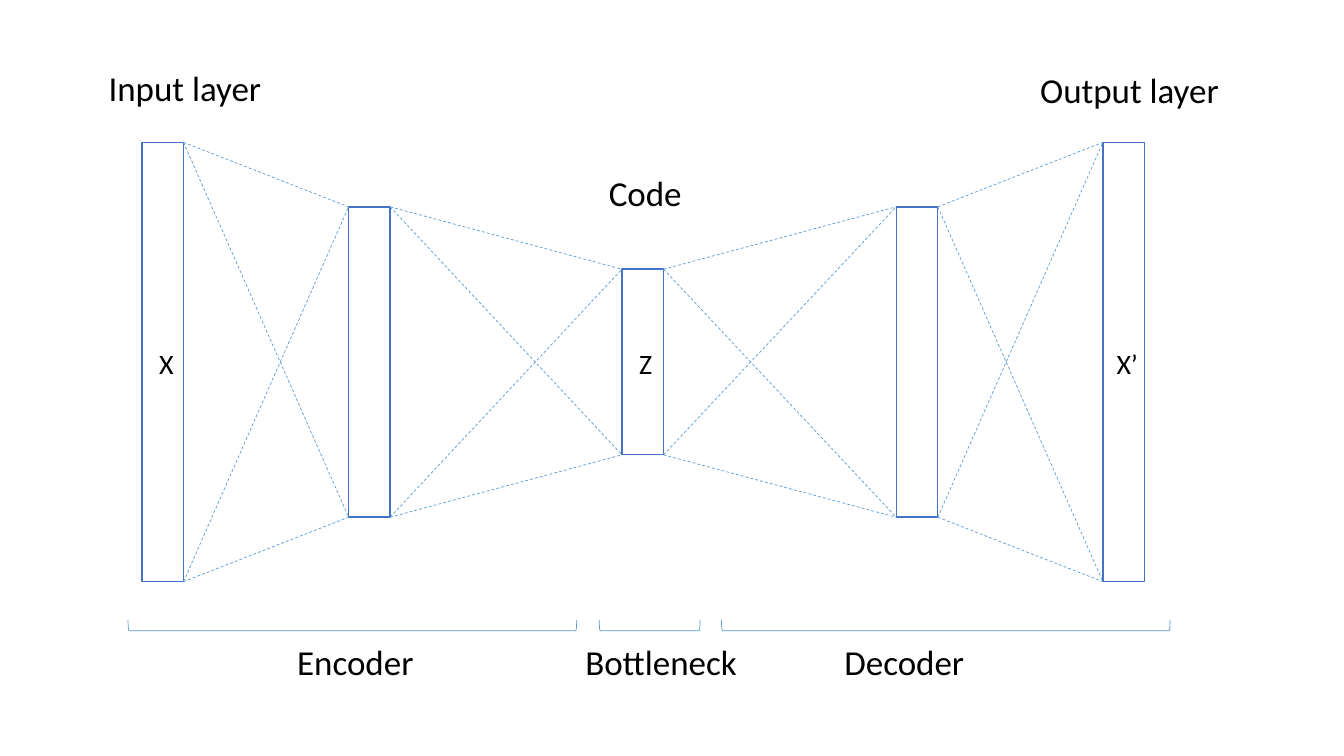
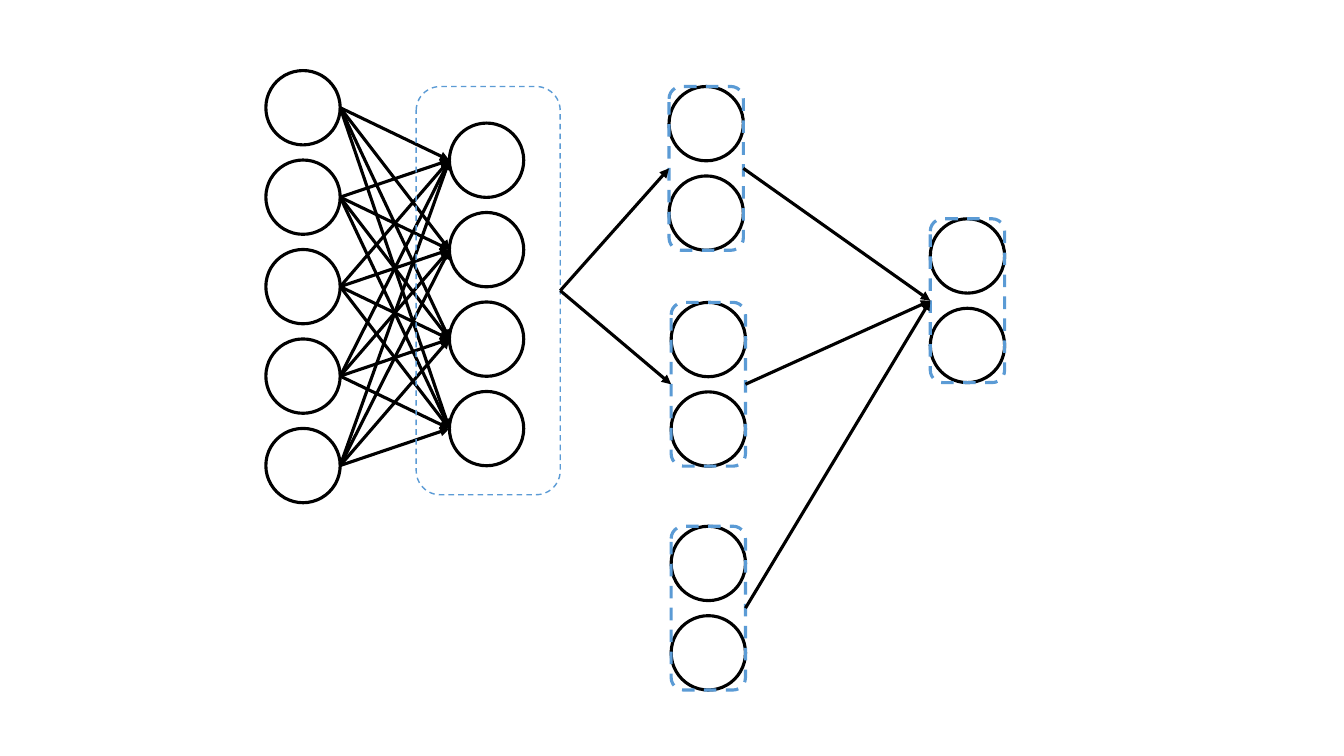
"""Draw an autoencoder diagram and a branching neural network on a 32 by 18 grid."""
import itertools

import lxml.etree
import pptx
import pptx.dml.color
import pptx.enum.dml
import pptx.enum.shapes
import pptx.oxml.ns
import pptx.util

COLUMNS, ROWS = 32, 18
CELL = pptx.util.Inches(7.5) // ROWS
BLANK_LAYOUT = 6
FONT = "Calibri"
WHITE = pptx.dml.color.RGBColor(0xFF, 0xFF, 0xFF)
BLACK = pptx.dml.color.RGBColor(0x00, 0x00, 0x00)
BORDER_BLUE = pptx.dml.color.RGBColor(0x44, 0x72, 0xC4)
LINK_BLUE = pptx.dml.color.RGBColor(0x5B, 0x9B, 0xD5)
SHAPES = pptx.enum.shapes.MSO_SHAPE

BAR_WIDTH = 0.99
BAR_MIDDLE = 8.62
BARS = [(3.38, 10.46), (8.3, 7.39), (14.81, 4.42), (21.34, 7.39), (26.26, 10.46)]
SYMBOLS = [("X", 3.55), ("Z", 14.98), ("X’", 26.35)]
LABELS = [
    ("Input layer", 2.35, 1.46, 4.42),
    ("Output layer", 24.53, 1.51, 5.69),
    ("Code", 14.26, 3.96, 2.4),
    ("Encoder", 6.84, 15.14, 3.89),
    ("Bottleneck", 13.7, 15.14, 4.2),
    ("Decoder", 19.87, 15.14, 3.89),
]
BRACKETS = [(8.39, 10.68), (15.47, 2.4), (22.52, 10.68)]
BRACKET_MIDDLE, BRACKET_DEPTH = 14.89, 0.26

NEURON = 1.77
PITCH = 2.13


def cells(count):
    """Convert grid cells to a length."""
    return pptx.util.Emu(round(count * CELL))


def style_line(line, color, width, dashed=False):
    """Set the colour, width and dash of a line."""
    line.color.rgb = color
    line.width = pptx.util.Pt(width)
    if dashed:
        line.dash_style = pptx.enum.dml.MSO_LINE.DASH


def add_outline(page, kind, area, color, width, fill=None, dashed=False):
    """Add an outlined shape, open or filled, at an area given in cells."""
    shape = page.shapes.add_shape(kind, *map(cells, area))
    shape.shadow.inherit = False
    if fill is None:
        shape.fill.background()
    else:
        shape.fill.solid()
        shape.fill.fore_color.rgb = fill
    style_line(shape.line, color, width, dashed)
    return shape


def add_text(page, words, left, top, width, size):
    """Add one line of text."""
    box = page.shapes.add_textbox(
        cells(left), cells(top), cells(width), cells(size / 20))
    box.text_frame.word_wrap = True
    box.text_frame.text = words
    font = box.text_frame.paragraphs[0].runs[0].font
    font.name = FONT
    font.size = pptx.util.Pt(size)
    font.color.rgb = BLACK


def add_link(page, start, end, color, width, dashed=False, arrow=False):
    """Join two points with a straight line or arrow."""
    link = page.shapes.add_connector(
        pptx.enum.shapes.MSO_CONNECTOR.STRAIGHT, *start, *end)
    style_line(link.line, color, width, dashed)
    qualify = pptx.oxml.ns.qn
    if arrow:
        head = lxml.etree.SubElement(link.line._get_or_add_ln(), qualify("a:tailEnd"))
        head.set("type", "triangle")
    lxml.etree.SubElement(link._element.spPr, qualify("a:effectLst"))


def add_arrow(page, source, target):
    """Point from the right middle of one shape to the left middle of another."""
    start = source.left + source.width, source.top + source.height // 2
    end = target.left, target.top + target.height // 2
    add_link(page, start, end, BLACK, 2.25, arrow=True)


def add_neurons(page, left, top, count):
    """Stack neurons in a column."""
    return [
        add_outline(page, SHAPES.OVAL, (left, top + row * PITCH, NEURON, NEURON),
                    BLACK, 2.25, WHITE)
        for row in range(count)
    ]


def add_pair(page, left, top):
    """Stack two neurons in a dashed frame and return the frame."""
    add_neurons(page, left, top, 2)
    return add_outline(page, SHAPES.ROUNDED_RECTANGLE,
                       (left, top, NEURON, PITCH + NEURON), LINK_BLUE, 2.25, dashed=True)


def add_bracket(page, center, length):
    """Add a bracket that opens upwards."""
    area = (center - BRACKET_DEPTH / 2, BRACKET_MIDDLE - length / 2, BRACKET_DEPTH, length)
    bracket = add_outline(page, SHAPES.LEFT_BRACKET, area, LINK_BLUE, 0.5)
    bracket.rotation = 270


def link_bars(page, source, target):
    """Join both right corners of one bar to both left corners of the next."""
    starts = [(source.left + source.width, y) for y in (source.top, source.top + source.height)]
    ends = [(target.left, y) for y in (target.top, target.top + target.height)]
    for start, end in itertools.product(starts, ends):
        add_link(page, start, end, LINK_BLUE, 0.5, dashed=True)


def build_autoencoder(page):
    """Draw the layers from input through code to output."""
    bars = [
        add_outline(page, SHAPES.RECTANGLE,
                    (left, BAR_MIDDLE - height / 2, BAR_WIDTH, height),
                    BORDER_BLUE, 1, WHITE)
        for left, height in BARS
    ]
    for source, target in zip(bars, bars[1:]):
        link_bars(page, source, target)
    for symbol, left in SYMBOLS:
        add_text(page, symbol, left, 8.14, 1.08, 20)
    for words, left, top, width in LABELS:
        add_text(page, words, left, top, width, 25)
    for center, length in BRACKETS:
        add_bracket(page, center, length)


def build_network(page):
    """Draw the dense layers, the three branches and the output pair."""
    inputs = add_neurons(page, 6.33, 1.68, 5)
    hidden = add_neurons(page, 10.7, 2.93, 4)
    for source, target in itertools.product(inputs, hidden):
        add_arrow(page, source, target)
    hidden_frame = add_outline(page, SHAPES.ROUNDED_RECTANGLE, (9.91, 2.06, 3.43, 9.72),
                               LINK_BLUE, 1, dashed=True)
    output = add_pair(page, 22.15, 5.21)
    branches = [add_pair(page, left, top)
                for left, top in [(15.93, 2.06), (15.98, 7.2), (15.98, 12.53)]]
    for branch in branches[:2]:
        add_arrow(page, hidden_frame, branch)
    for branch in branches:
        add_arrow(page, branch, output)


def main():
    """Build and save the deck."""
    deck = pptx.Presentation()
    deck.slide_width, deck.slide_height = cells(COLUMNS), cells(ROWS)
    for build in (build_autoencoder, build_network):
        build(deck.slides.add_slide(deck.slide_layouts[BLANK_LAYOUT]))
    deck.save("out.pptx")


main()
